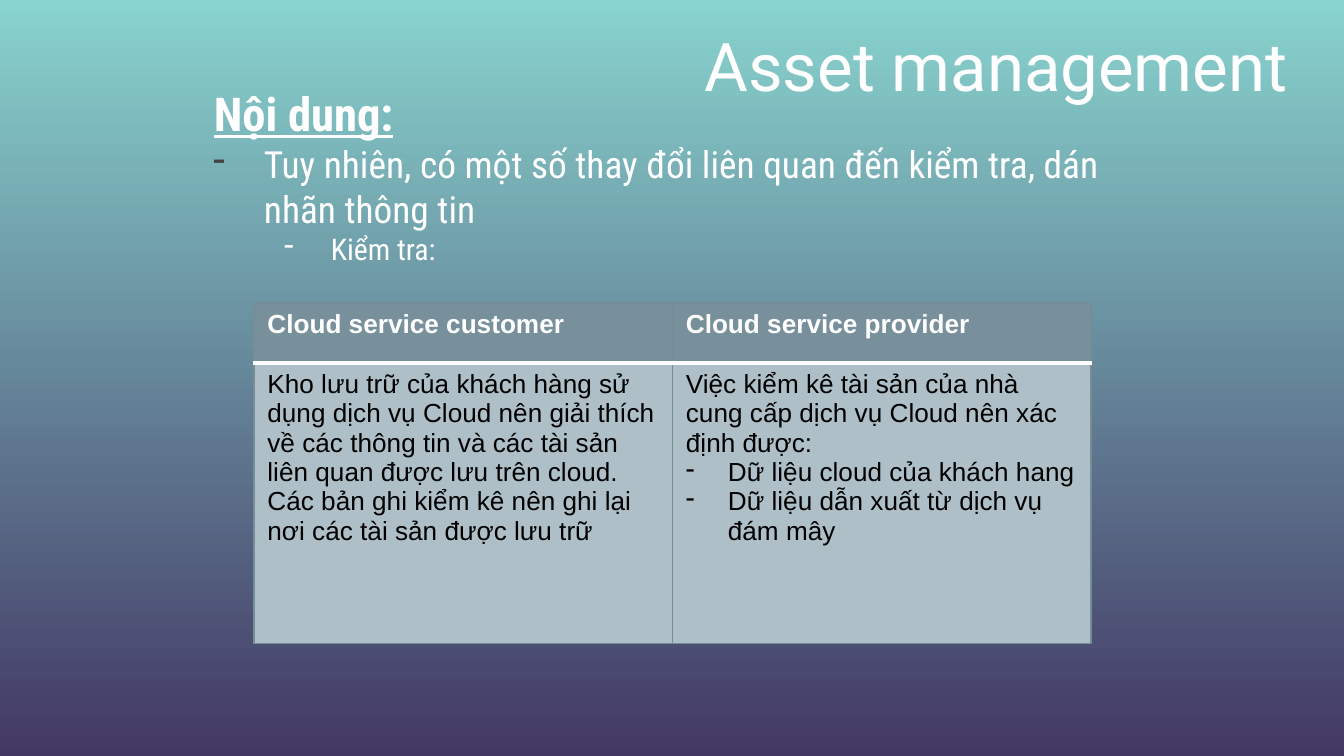
from lxml.etree import SubElement
from pptx import Presentation
from pptx.dml.color import RGBColor
from pptx.enum.text import MSO_ANCHOR as Anchor, PP_ALIGN as Align
from pptx.oxml.ns import qn
from pptx.util import Emu, Pt

PX = 914400 / 134.4
WHITE, BLACK, DARK = "FFFFFF", "000000", "434343"
BACKGROUND = ("88D3CE", "423864")
HEADER_FILL, BODY_FILL, BORDER = "78909C", "AEBFC7", "748D99"

TITLE = "Asset management"
# text, size, bold and underlined, left margin px, hanging px, bullet colour
CONTENT = [
    ("Nội dung:", 25, True, 17, 0, None),
    ("Tuy nhiên, có một số thay đổi liên quan đến kiểm tra, dán nhãn thông tin",
     20, False, 67, 51, DARK),
    ("Kiểm tra:", 16, False, 134, 47, WHITE),
]
HEADERS = ["Cloud service customer", "Cloud service provider"]
# each cell: paragraphs as (text, is bulleted)
BODY = [
    [("Kho lưu trữ của khách hàng sử dụng dịch vụ Cloud nên giải thích về các "
      "thông tin và các tài sản liên quan được lưu trên cloud. Các bản ghi kiểm "
      "kê nên ghi lại nơi các tài sản được lưu trữ", False)],
    [("Việc kiểm kê tài sản của nhà cung cấp dịch vụ Cloud nên xác định được:", False),
     ("Dữ liệu cloud của khách hang", True),
     ("Dữ liệu dẫn xuất từ dịch vụ đám mây", True)],
]
TITLE_BOX = (98, 16, 1203, 98)
CONTENT_BOX = (184, 72, 975, 206)
TABLE_BOX = (254, 303, 837, 341)
ROW_HEIGHTS = (60, 281)
CELL_INDENT = 42


def px(value):
    return Emu(round(value * PX))


def rgb(color):
    return RGBColor.from_string(color)


def add_run(paragraph, text, font, size, color, bold=False, underline=False):
    run = paragraph.add_run()
    run.text = text
    run.font.name, run.font.size = font, Pt(size)
    run.font.bold, run.font.underline = bold, underline
    run.font.color.rgb = rgb(color)


def set_indent(paragraph, left, hanging, bullet_color=None):
    properties = paragraph._p.get_or_add_pPr()
    properties.set("marL", str(px(left)))
    properties.set("indent", str(-px(hanging)))
    if bullet_color:
        color = SubElement(properties, qn("a:buClr"))
        SubElement(color, qn("a:srgbClr"), val=bullet_color)
        SubElement(properties, qn("a:buChar"), char="-")


def set_frame(frame, anchor):
    frame.word_wrap = True
    frame.vertical_anchor = anchor
    frame.margin_left = frame.margin_right = px(13)
    frame.margin_top = frame.margin_bottom = px(13)


def paragraph_at(frame, index):
    return frame.add_paragraph() if index else frame.paragraphs[0]


def set_borders(cell, top, bottom):
    """Each side is a (colour, points) pair; the vertical sides are thin."""
    properties = cell._tc.get_or_add_tcPr()
    thin = (BORDER, 0.75)
    sides = {"L": thin, "R": thin, "T": top, "B": bottom}
    for side, (color, width) in sides.items():
        line = SubElement(properties, qn(f"a:ln{side}"), w=str(Pt(width)))
        fill = SubElement(line, qn("a:solidFill"))
        SubElement(fill, qn("a:srgbClr"), val=color)


def add_title(slide):
    title = slide.shapes.title
    title.left, title.top, title.width, title.height = map(px, TITLE_BOX)
    set_frame(title.text_frame, Anchor.MIDDLE)
    paragraph = title.text_frame.paragraphs[0]
    paragraph.alignment = Align.RIGHT
    add_run(paragraph, TITLE, "Roboto", 36, WHITE)


def add_content(slide):
    frame = slide.shapes.add_textbox(*map(px, CONTENT_BOX)).text_frame
    set_frame(frame, Anchor.TOP)
    for index, (text, size, heading, left, hanging, bullet) in enumerate(CONTENT):
        paragraph = paragraph_at(frame, index)
        set_indent(paragraph, left, hanging, bullet)
        add_run(paragraph, text, "Roboto Condensed", size, WHITE, heading, heading)


def add_comparison(slide):
    rows = [[[(header, False)] for header in HEADERS], BODY]
    table = slide.shapes.add_table(len(rows), len(HEADERS), *map(px, TABLE_BOX)).table
    table.horz_banding = False
    thin, divider = (BORDER, 0.75), (WHITE, 2)
    for row, cells in enumerate(rows):
        table.rows[row].height = px(ROW_HEIGHTS[row])
        is_header = row == 0
        for column, paragraphs in enumerate(cells):
            cell = table.cell(row, column)
            set_borders(cell, *((thin, divider) if is_header else (divider, thin)))
            cell.fill.solid()
            cell.fill.fore_color.rgb = rgb(HEADER_FILL if is_header else BODY_FILL)
            for index, (text, bulleted) in enumerate(paragraphs):
                paragraph = paragraph_at(cell.text_frame, index)
                if bulleted:
                    set_indent(paragraph, CELL_INDENT, CELL_INDENT, BLACK)
                add_run(paragraph, text, "Arial", 14,
                        WHITE if is_header else BLACK, is_header)


def main():
    presentation = Presentation()
    presentation.slide_width, presentation.slide_height = px(1344), px(756)
    slide = presentation.slides.add_slide(presentation.slide_layouts[5])
    fill = slide.background.fill
    fill.gradient()
    fill.gradient_angle = 270
    for stop, color in zip(fill.gradient_stops, BACKGROUND):
        stop.color.rgb = rgb(color)
    add_title(slide)
    add_content(slide)
    add_comparison(slide)
    presentation.save("out.pptx")


if __name__ == "__main__":
    main()
